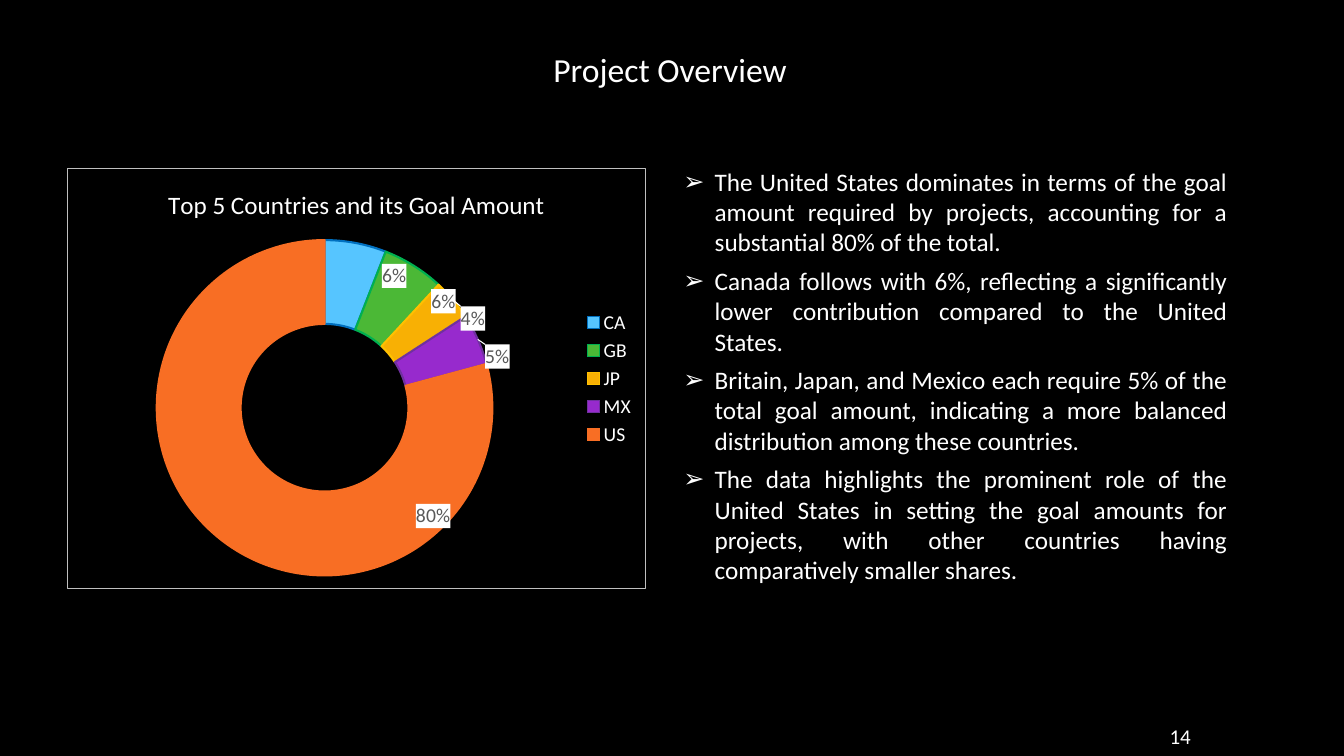
from lxml import etree
from pptx import Presentation
from pptx.chart.data import CategoryChartData
from pptx.dml.color import RGBColor
from pptx.enum.chart import XL_CHART_TYPE, XL_LEGEND_POSITION
from pptx.enum.text import MSO_ANCHOR, PP_ALIGN
from pptx.oxml import parse_xml
from pptx.oxml.ns import nsdecls, qn
from pptx.util import Inches, Pt

DOUGHNUT = XL_CHART_TYPE.DOUGHNUT
LEGEND_RIGHT = XL_LEGEND_POSITION.RIGHT
LEFT, RIGHT, JUSTIFY = PP_ALIGN.LEFT, PP_ALIGN.RIGHT, PP_ALIGN.JUSTIFY
TOP, MIDDLE = MSO_ANCHOR.TOP, MSO_ANCHOR.MIDDLE

FONT = "Calibri"
COLORS = {"background": "000000", "text": "FFFFFF", "border": "BFBFBF",
          "label": "595959", "label_fill": "FFFFFF"}

# country, share in %, fill, outline, label shift as a fraction of the chart
COUNTRIES = [
    ("CA", 6, "56C5FF", "0070C0", (0.08, -0.02)),
    ("GB", 6, "4BB836", "00B050", (0.09, 0)),
    ("JP", 4, "F8B004", "FFC000", (0.09, -0.02)),
    ("MX", 5, "972ACD", "7030A0", (0.1, 0)),
    ("US", 80, "F86E24", "F86E24", (0.32, 0.02)),
]

FINDINGS = [
    "The United States dominates in terms of the goal amount required by "
    "projects, accounting for a substantial 80% of the total.",
    "Canada follows with 6%, reflecting a significantly lower contribution "
    "compared to the United States.",
    "Britain, Japan, and Mexico each require 5% of the total goal amount, "
    "indicating a more balanced distribution among these countries.",
    "The data highlights the prominent role of the United States in setting "
    "the goal amounts for projects, with other countries having "
    "comparatively smaller shares.",
]


def rgb(name):
    return RGBColor.from_string(COLORS[name])


def style_font(font, size, color="text"):
    font.name = FONT
    font.size = Pt(size)
    font.bold = False
    font.color.rgb = rgb(color)


def add_text(slide, box, paragraphs, size, align=LEFT, anchor=TOP, bullet=None):
    frame = slide.shapes.add_textbox(*map(Inches, box)).text_frame
    frame.word_wrap = True
    frame.vertical_anchor = anchor
    for index, wording in enumerate(paragraphs):
        paragraph = frame.add_paragraph() if index else frame.paragraphs[0]
        paragraph.text = wording
        paragraph.alignment = align
        if bullet:
            paragraph.space_after = Pt(6)
            properties = paragraph._p.get_or_add_pPr()
            indent = Inches(0.31)
            properties.set("marL", str(indent))
            properties.set("indent", str(-indent))
            etree.SubElement(properties, qn("a:buFont"), typeface="Wingdings 3")
            properties[-1].set("typeface", "Arial")
            etree.SubElement(properties, qn("a:buChar"), char=bullet)
        style_font(paragraph.font, size)


def manual_layout(x, y, w, h, target=""):
    """Layout element for a chart part, in fractions of the chart."""
    return parse_xml(
        f'<c:layout {nsdecls("c")}><c:manualLayout>{target}'
        '<c:xMode val="edge"/><c:yMode val="edge"/>'
        f'<c:x val="{x}"/><c:y val="{y}"/><c:w val="{w}"/><c:h val="{h}"/>'
        '</c:manualLayout></c:layout>')


def share_labels():
    """Data labels on white plates, each shifted from its slice."""
    look = (
        '<c:numFmt formatCode="0&quot;%&quot;" sourceLinked="0"/>'
        f'<c:spPr><a:solidFill><a:srgbClr val="{COLORS["label_fill"]}"/>'
        '</a:solidFill><a:ln><a:noFill/></a:ln></c:spPr>'
        '<c:txPr><a:bodyPr/><a:p><a:pPr><a:defRPr sz="1400" b="0"><a:solidFill>'
        f'<a:srgbClr val="{COLORS["label"]}"/></a:solidFill>'
        f'<a:latin typeface="{FONT}"/></a:defRPr></a:pPr></a:p></c:txPr>'
        '<c:showLegendKey val="0"/><c:showVal val="1"/><c:showCatName val="0"/>'
        '<c:showSerName val="0"/><c:showPercent val="0"/><c:showBubbleSize val="0"/>')
    labels = "".join(
        f'<c:dLbl><c:idx val="{index}"/><c:layout><c:manualLayout>'
        f'<c:x val="{dx}"/><c:y val="{dy}"/></c:manualLayout></c:layout>{look}</c:dLbl>'
        for index, (*_, (dx, dy)) in enumerate(COUNTRIES))
    return parse_xml(f'<c:dLbls {nsdecls("c", "a")}>{labels}{look}'
                     '<c:showLeaderLines val="1"/><c:leaderLines><c:spPr><a:ln w="9525">'
                     f'<a:solidFill><a:srgbClr val="{COLORS["text"]}"/></a:solidFill>'
                     '</a:ln></c:spPr></c:leaderLines></c:dLbls>')


def add_goal_chart(slide, box):
    data = CategoryChartData()
    data.categories = [country[0] for country in COUNTRIES]
    data.add_series("Series 1", [country[1] for country in COUNTRIES])
    chart = slide.shapes.add_chart(DOUGHNUT, *map(Inches, box), data).chart
    style_font(chart.font, 18)

    chart.has_title = True
    heading = chart.chart_title.text_frame
    heading.text = "Top 5 Countries and its Goal Amount"
    style_font(heading.paragraphs[0].font, 18)

    chart.has_legend = True
    legend = chart.legend
    legend.position = LEGEND_RIGHT
    legend.include_in_layout = False
    style_font(legend.font, 14)
    legend._element.find(qn("c:legendPos")).addnext(
        manual_layout(0.79, 0.31, 0.12, 0.49))

    plot = chart.plots[0]
    plot.vary_by_categories = True
    plot._element.find(qn("c:holeSize")).set("val", "75")
    series = plot.series[0]
    for index, (_, _, fill, outline, _) in enumerate(COUNTRIES):
        slice_format = series.points[index].format
        slice_format.fill.solid()
        slice_format.fill.fore_color.rgb = RGBColor.from_string(fill)
        slice_format.line.color.rgb = RGBColor.from_string(outline)
        slice_format.line.width = Pt(1.5)
    series._element.find(qn("c:cat")).addprevious(share_labels())

    chart_space = chart._chartSpace
    plot_area = chart_space.chart.plotArea
    for layout in plot_area.findall(qn("c:layout")):
        plot_area.remove(layout)
    plot_area.insert(0, manual_layout(0.155, 0.17, 0.58, 0.8,
                                      '<c:layoutTarget val="inner"/>'))
    chart_space.chart.addnext(parse_xml(
        f'<c:spPr {nsdecls("c", "a")}><a:noFill/><a:ln w="{Pt(0.75)}"><a:solidFill>'
        f'<a:srgbClr val="{COLORS["border"]}"/></a:solidFill></a:ln></c:spPr>'))


def build_overview(slide):
    slide.background.fill.solid()
    slide.background.fill.fore_color.rgb = rgb("background")
    add_goal_chart(slide, (0.66, 1.67, 5.75, 4.17))
    add_text(slide, (11.48, 7.11, 0.43, 0.39), ["14"], 15, RIGHT, MIDDLE)
    add_text(slide, (5.39, 0.44, 2.56, 0.47), ["Project Overview"], 24)
    add_text(slide, (6.68, 1.6, 5.59, 4.29), FINDINGS, 18, JUSTIFY, bullet="➢")


def main():
    deck = Presentation()
    deck.slide_width, deck.slide_height = Inches(13.33), Inches(7.5)
    build_overview(deck.slides.add_slide(deck.slide_layouts[6]))
    deck.save("out.pptx")


if __name__ == "__main__":
    main()
